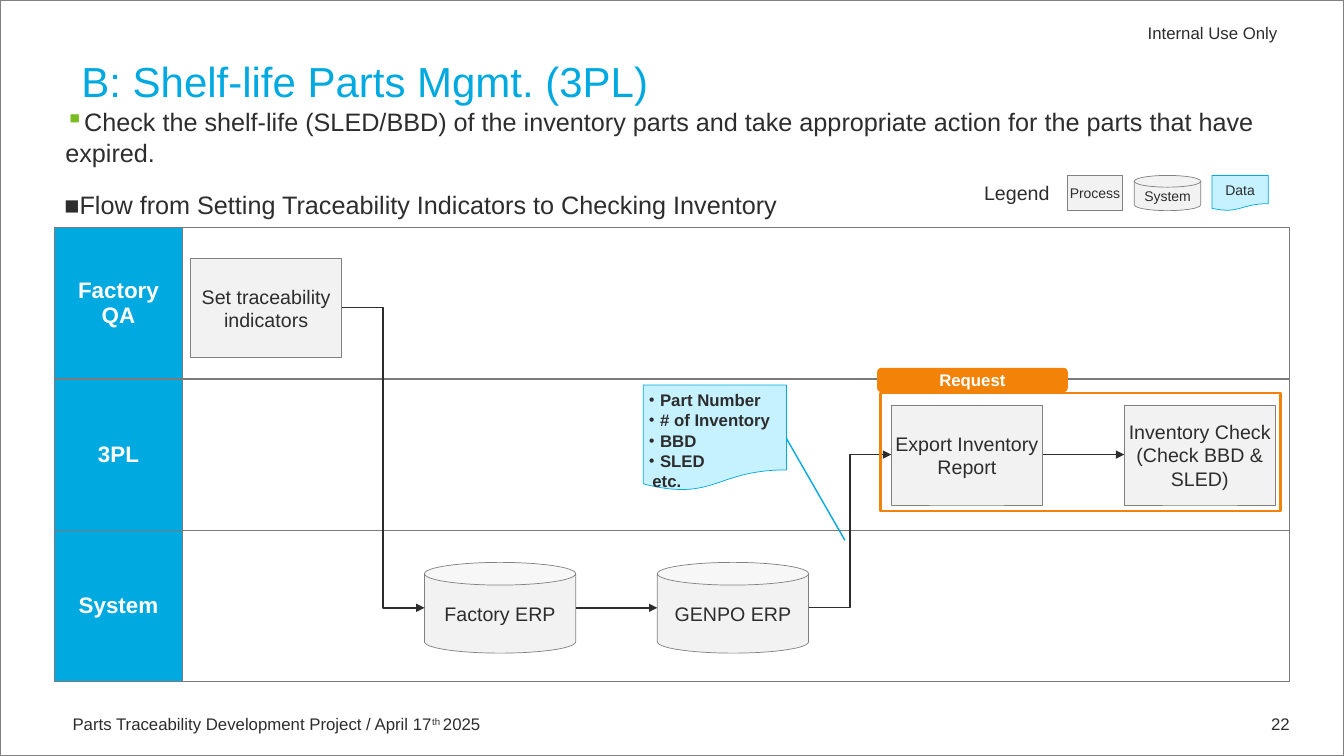
from lxml.etree import SubElement
from pptx import Presentation
from pptx.dml.color import RGBColor
from pptx.enum.shapes import MSO_CONNECTOR, MSO_SHAPE
from pptx.enum.text import MSO_ANCHOR, PP_ALIGN
from pptx.oxml import parse_xml
from pptx.oxml.ns import nsdecls, qn
from pptx.util import Emu, Pt


class Theme:
    font = "Arial"
    ink = RGBColor.from_string("2D2D2D")
    white = RGBColor.from_string("FFFFFF")
    blue = RGBColor.from_string("00A9E0")
    pale_blue = RGBColor.from_string("C6F1FF")
    gray = RGBColor.from_string("808080")
    pale_gray = RGBColor.from_string("F2F2F2")
    orange = RGBColor.from_string("F28308")
    table_line = "7A7A7A"
    bullet = "78BE20"
    title, body, lane, node, small, legend = 30, 18, 16, 14, 12, 10


PX = 9144  # 100 px per inch
SIDE_INSETS = (0, 5, 0, 5)
DEFAULT_INSETS = (10, 5, 10, 5)
FOOTER_INSETS = (0, 0, 2, 1)


def write_text(text_frame, text, size, color=Theme.ink, bold=False,
               align=PP_ALIGN.LEFT, anchor=MSO_ANCHOR.MIDDLE, insets=DEFAULT_INSETS):
    text_frame.text = text
    text_frame.word_wrap = True
    text_frame.vertical_anchor = anchor
    (text_frame.margin_left, text_frame.margin_top,
     text_frame.margin_right, text_frame.margin_bottom) = [Emu(inset * PX) for inset in insets]
    for paragraph in text_frame.paragraphs:
        paragraph.alignment = align
        for run in paragraph.runs:
            run.font.name = Theme.font
            run.font.size = Pt(size)
            run.font.bold = bold
            run.font.color.rgb = color


def add_box(kind, box, fill=None, line=None, line_width=0.5):
    """Add a preset shape, or a text box when kind is None."""
    bounds = [Emu(length * PX) for length in box]
    if kind is None:
        return slide.shapes.add_textbox(*bounds)
    shape = slide.shapes.add_shape(kind, *bounds)
    shape.shadow.inherit = False
    if fill is None:
        shape.fill.background()
    else:
        shape.fill.solid()
        shape.fill.fore_color.rgb = fill
    if line is None:
        shape.line.fill.background()
    else:
        shape.line.color.rgb = line
        shape.line.width = Pt(line_width)
    return shape


presentation = Presentation()
presentation.slide_width = Emu(1333 * PX)
presentation.slide_height = Emu(750 * PX)
slide = presentation.slides.add_slide(presentation.slide_layouts[6])

# Page frame, footer and header
add_box(MSO_SHAPE.RECTANGLE, (0, 0, 1333, 750), line=Theme.gray, line_width=1)
footer = add_box(None, (72, 706, 547, 26)).text_frame
write_text(footer, "Parts Traceability Development Project / April 17", Theme.small,
           insets=FOOTER_INSETS)
for text, baseline in (("th ", "30000"), ("2025", "0")):
    run = footer.paragraphs[0].add_run()
    run.text = text
    run.font.name = Theme.font
    run.font.size = Pt(Theme.small)
    run.font.color.rgb = Theme.ink
    run._r.get_or_add_rPr().set("baseline", baseline)
write_text(add_box(None, (944, 20, 325, 26)).text_frame, "Internal Use Only",
           Theme.small, align=PP_ALIGN.RIGHT, insets=FOOTER_INSETS)
write_text(add_box(None, (1234, 703, 55, 29)).text_frame, "22", Theme.small,
           align=PP_ALIGN.RIGHT, anchor=MSO_ANCHOR.TOP)

# Swimlanes
lanes = ("Factory\nQA", "3PL", "System")
lane_bounds = [Emu(length * PX) for length in (54, 226, 1225, 450)]
lane_table = slide.shapes.add_table(len(lanes), 2, *lane_bounds).table
lane_table.first_row = False
lane_table.horz_banding = False
for column, width in zip(lane_table.columns, (127, 1098)):
    column.width = Emu(width * PX)
for row, lane in enumerate(lanes):
    lane_table.rows[row].height = Emu(150 * PX)
    name_cell, flow_cell = lane_table.cell(row, 0), lane_table.cell(row, 1)
    write_text(name_cell.text_frame, lane, Theme.lane, Theme.white, True, PP_ALIGN.CENTER)
    name_cell.vertical_anchor = MSO_ANCHOR.MIDDLE
    for cell in (name_cell, flow_cell):
        cell_properties = cell._tc.get_or_add_tcPr()
        for edge in ("lnL", "lnR", "lnT", "lnB"):
            cell_properties.append(parse_xml(
                f'<a:{edge} {nsdecls("a")} w="12700"><a:solidFill>'
                f'<a:srgbClr val="{Theme.table_line}"/></a:solidFill></a:{edge}>'))
    name_cell.fill.solid()
    name_cell.fill.fore_color.rgb = Theme.blue
    flow_cell.fill.background()

# Flow steps on five evenly spaced columns
steps = {
    "export": (MSO_SHAPE.RECTANGLE, 3, 402, 99, "Export Inventory Report"),
    "central": (MSO_SHAPE.CAN, 2, 558, 90, "GENPO ERP"),
    "check": (MSO_SHAPE.RECTANGLE, 4, 402, 99, "Inventory Check (Check BBD & SLED)"),
    "factory": (MSO_SHAPE.CAN, 1, 558, 90, "Factory ERP"),
    "set": (MSO_SHAPE.RECTANGLE, 0, 256, 99, "Set traceability indicators"),
}
step_width = 150
ports = {}
for name, (kind, column, top, height, text) in steps.items():
    left = round(189.25 + 231.5 * column)
    shape = add_box(kind, (left, top, step_width, height), Theme.pale_gray, Theme.gray)
    write_text(shape.text_frame, text, Theme.node, align=PP_ALIGN.CENTER, insets=SIDE_INSETS)
    middle = top + height // 2
    ports[name] = (left, middle), (left + step_width, middle)

# Arrows between steps, and the line from the data note
links = [(kind, ports[start][1], ports[end][0], Theme.ink, True) for kind, start, end in (
    (MSO_CONNECTOR.ELBOW, "set", "factory"),
    (MSO_CONNECTOR.ELBOW, "central", "export"),
    (MSO_CONNECTOR.STRAIGHT, "factory", "central"),
    (MSO_CONNECTOR.STRAIGHT, "export", "check"),
)]
links.append((MSO_CONNECTOR.STRAIGHT, (780, 435), (838, 536), Theme.blue, False))
for kind, start, end, color, has_arrow in links:
    connector = slide.shapes.add_connector(kind, *[Emu(length * PX) for length in start + end])
    connector.line.color.rgb = color
    connector.line.width = Pt(1)
    if has_arrow:
        SubElement(connector.line._get_or_add_ln(), qn("a:tailEnd"), type="triangle")
    SubElement(connector._element.spPr, qn("a:effectLst"))

# Request group
request_tag = add_box(MSO_SHAPE.ROUNDED_RECTANGLE, (870, 365, 189, 24), Theme.orange)
write_text(request_tag.text_frame, "Request", Theme.small, Theme.white, True, PP_ALIGN.CENTER)
add_box(MSO_SHAPE.RECTANGLE, (873, 390, 397, 117), line=Theme.orange, line_width=2)

# Legend
for kind, left, width, text, size, fill, line in (
    (MSO_SHAPE.RECTANGLE, 1059, 54, "Process", Theme.legend, Theme.pale_gray, Theme.gray),
    (None, 970, 77, "Legend", Theme.node, None, None),
    (MSO_SHAPE.FLOWCHART_MAGNETIC_DISK, 1125, 66, "System", Theme.legend,
     Theme.pale_gray, Theme.gray),
    (MSO_SHAPE.FLOWCHART_DOCUMENT, 1202, 56, "Data", Theme.legend,
     Theme.pale_blue, Theme.blue),
):
    shape = add_box(kind, (left, 174, width, 35), fill, line)
    write_text(shape.text_frame, text, size, align=PP_ALIGN.CENTER, insets=SIDE_INSETS)

# Title, data note and statements
write_text(add_box(None, (71, 50, 1246, 57)).text_frame, "B: Shelf-life Parts Mgmt. (3PL)",
           Theme.title, Theme.blue, anchor=MSO_ANCHOR.TOP)
data_note = add_box(MSO_SHAPE.FLOWCHART_DOCUMENT, (638, 382, 142, 105),
                    Theme.pale_blue, Theme.blue).text_frame
write_text(data_note, "・Part Number\n・# of Inventory\n・BBD\n・SLED\netc.", Theme.small,
           bold=True, anchor=MSO_ANCHOR.TOP, insets=SIDE_INSETS)
data_note.paragraphs[-1]._p.get_or_add_pPr().set("marL", str(9 * PX))
write_text(add_box(None, (54, 186, 829, 34)).text_frame,
           "■Flow from Setting Traceability Indicators to Checking Inventory", Theme.body)
summary = add_box(None, (55, 101, 1227, 103)).text_frame
write_text(summary, "Check the shelf-life (SLED/BBD) of the inventory parts and take "
           "appropriate action for the parts that have expired.", Theme.body,
           anchor=MSO_ANCHOR.TOP)
summary_properties = summary.paragraphs[0]._p.get_or_add_pPr()
summary_properties.set("marL", "0")
summary_properties.set("indent", str(-25 * PX))
bullet_color = SubElement(summary_properties, qn("a:buClr"))
SubElement(bullet_color, qn("a:srgbClr"), val=Theme.bullet)
SubElement(summary_properties, qn("a:buChar"), char="▪")

presentation.save("out.pptx")
